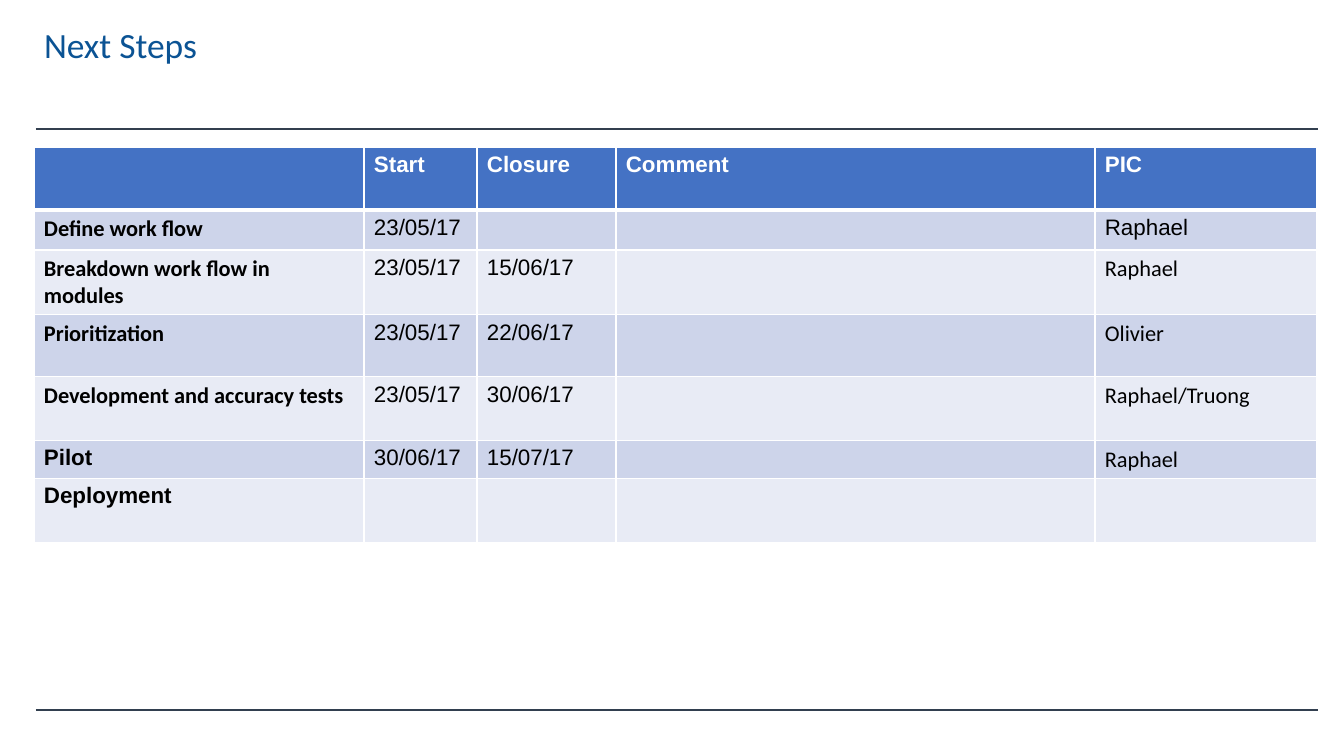
from lxml import etree
from pptx import Presentation, util as u
from pptx.dml.color import RGBColor
from pptx.enum import shapes, text
from pptx.oxml import ns

PX = 914400 / 100.8

TITLE_BLUE = RGBColor(0x0B, 0x53, 0x94)
RULE = RGBColor(0x32, 0x3F, 0x4F)
HEADER = RGBColor(0x44, 0x72, 0xC4)
BANDS = RGBColor(0xCD, 0xD4, 0xEA), RGBColor(0xE8, 0xEB, 0xF5)
WHITE = RGBColor(0xFF, 0xFF, 0xFF)
BLACK = RGBColor(0, 0, 0)

COLUMNS = [330, 113, 139, 479, 222]
ROWS = [63, 40, 65, 62, 64, 37, 64]
STEPS = [
    ["", "Start", "Closure", "Comment", "PIC"],
    ["Define work flow", "23/05/17", "", "", "Raphael"],
    ["Breakdown work flow in modules", "23/05/17", "15/06/17", "", "Raphael"],
    ["Prioritization", "23/05/17", "22/06/17", "", "Olivier"],
    ["Development and accuracy tests", "23/05/17", "30/06/17", "", "Raphael/Truong"],
    ["Pilot", "30/06/17", "15/07/17", "", "Raphael"],
    ["Deployment", "", "", "", ""],
]
# Cells set in Calibri, as (row, column)
CALIBRI_CELLS = {(row, 0) for row in range(1, 5)} | {(row, 4) for row in range(2, 6)}


def px(length):
    return u.Emu(round(length * PX))


def write(frame, words, font="Arial", size=16, color=BLACK, bold=False):
    para = frame.paragraphs[0]
    para.alignment = text.PP_ALIGN.LEFT
    if not words:
        # An empty cell keeps the row's text size
        end = etree.SubElement(para._p, ns.qn("a:endParaRPr"))
        end.set("sz", str(size * 100))
        return para
    span = para.add_run()
    span.text = words
    span.font.name, span.font.size = font, u.Pt(size)
    span.font.color.rgb, span.font.bold = color, bold
    return para


def set_borders(cell, **widths):
    properties = cell._tc.get_or_add_tcPr()
    for side, width in widths.items():
        line = etree.SubElement(properties, ns.qn("a:ln" + side), w=str(u.Pt(width)))
        fill = etree.SubElement(line, ns.qn("a:solidFill"))
        etree.SubElement(fill, ns.qn("a:srgbClr"), val=str(WHITE))


def add_rule(page, left, top, width):
    rule = page.shapes.add_connector(
        shapes.MSO_CONNECTOR.STRAIGHT, px(left), px(top), px(left + width), px(top))
    rule.line.color.rgb, rule.line.width = RULE, u.Pt(1.75)
    etree.SubElement(rule._element.spPr, ns.qn("a:effectLst"))


def place_title(page, left, top, width, height):
    title = page.shapes.title
    title.left, title.top, title.width, title.height = map(px, (left, top, width, height))
    frame = title.text_frame
    frame.word_wrap, frame.auto_size = True, text.MSO_AUTO_SIZE.NONE
    frame.vertical_anchor = text.MSO_ANCHOR.TOP
    frame.margin_left = frame.margin_right = frame.margin_top = frame.margin_bottom = px(10)
    para = write(frame, "Next Steps", font="Calibri", size=25.3, color=TITLE_BLUE)
    para.line_spacing = 0.9


def add_steps_table(page, left, top):
    table = page.shapes.add_table(
        len(ROWS), len(COLUMNS), px(left), px(top), px(sum(COLUMNS)), px(sum(ROWS))).table
    for column, width in zip(table.columns, COLUMNS):
        column.width = px(width)
    for row, height in zip(table.rows, ROWS):
        row.height = px(height)
    for r, step in enumerate(STEPS):
        header = r == 0
        for c, words in enumerate(step):
            cell = table.cell(r, c)
            cell.margin_left = cell.margin_right = px(10)
            cell.margin_top = cell.margin_bottom = px(5)
            set_borders(cell, L=1, R=1, T=3 if r == 1 else 1, B=3 if header else 1)
            cell.fill.solid()
            cell.fill.fore_color.rgb = HEADER if header else BANDS[(r - 1) % 2]
            write(cell.text_frame, words,
                  font="Calibri" if (r, c) in CALIBRI_CELLS | {(1, 0)} else "Arial",
                  color=WHITE if header else BLACK, bold=header or c == 0)


def build_next_steps(deck):
    page = deck.slides.add_slide(deck.slide_layouts[5])
    # Rules above and below the content
    for top in (129, 710):
        add_rule(page, 36, top, 1282)
    place_title(page, 34, 18, 1060, 60)
    add_steps_table(page, 34, 147)


def main():
    deck = Presentation()
    deck.slide_width, deck.slide_height = px(1344), px(756)
    build_next_steps(deck)
    deck.save("out.pptx")


if __name__ == "__main__":
    main()
